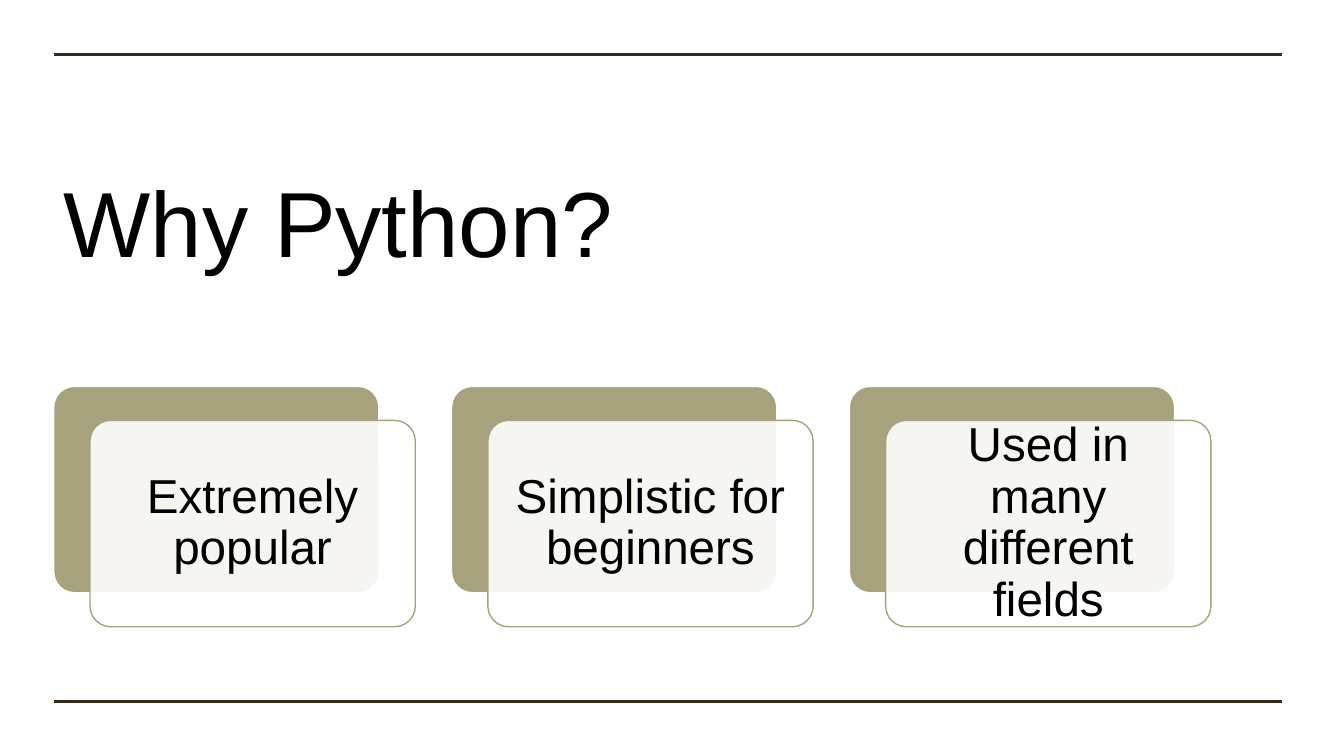
import pptx
import pptx.dml.color
import pptx.enum.shapes
import pptx.enum.text
import pptx.oxml.ns
import pptx.util
from lxml import etree


def color(hex_code):
    return pptx.dml.color.RGBColor.from_string(hex_code)


class SlideBuilder:
    """Draws styled elements, with lengths in percent of the slide's size."""

    FONT = "Arial"
    TEXT = "000000"
    RULE = "332A1D"
    ACCENT = "A6A27E"
    PAPER = "FFFFFF"

    def __init__(self, deck):
        self.deck = deck
        self.slide = deck.slides.add_slide(deck.slide_layouts[5])

    def across(self, percent):
        return round(self.deck.slide_width * percent / 100)

    def down(self, percent):
        return round(self.deck.slide_height * percent / 100)

    def box(self, left, top, width, height):
        return self.across(left), self.down(top), self.across(width), self.down(height)

    def set_wording(self, frame, wording, size, alignment):
        frame.text = wording
        frame.word_wrap = True
        frame.auto_size = pptx.enum.text.MSO_AUTO_SIZE.NONE
        frame.vertical_anchor = pptx.enum.text.MSO_ANCHOR.MIDDLE
        paragraph = frame.paragraphs[0]
        paragraph.alignment = alignment
        paragraph.line_spacing = 0.9
        paragraph.font.name = self.FONT
        paragraph.font.size = pptx.util.Pt(size)
        paragraph.font.color.rgb = color(self.TEXT)

    def title(self, wording, *place):
        heading = self.slide.shapes.title
        heading.left, heading.top, heading.width, heading.height = self.box(*place)
        self.set_wording(heading.text_frame, wording, 66, pptx.enum.text.PP_ALIGN.LEFT)

    def rule(self, start, end, height):
        rule = self.slide.shapes.add_connector(
            pptx.enum.shapes.MSO_CONNECTOR.STRAIGHT,
            self.across(start), self.down(height), self.across(end), self.down(height))
        rule.line.color.rgb = color(self.RULE)
        rule.line.width = pptx.util.Pt(2.25)
        etree.SubElement(rule._element.spPr, pptx.oxml.ns.qn("a:effectLst"))

    def panel(self, place, fill, outline):
        panel = self.slide.shapes.add_shape(
            pptx.enum.shapes.MSO_SHAPE.ROUNDED_RECTANGLE, *self.box(*place))
        panel.adjustments[0] = 0.1
        panel.shadow.inherit = False
        panel.fill.solid()
        panel.fill.fore_color.rgb = color(fill)
        panel.line.color.rgb = color(outline)
        panel.line.width = pptx.util.Pt(1)
        return panel

    def card(self, reason, left, top, width, height):
        self.panel((left, top, width, height), self.ACCENT, self.PAPER)
        front = self.panel((left + 2.7, top + 4.5, width, height), self.PAPER, self.ACCENT)
        tint = front._element.spPr.find(".//" + pptx.oxml.ns.qn("a:srgbClr"))
        etree.SubElement(tint, pptx.oxml.ns.qn("a:alpha"), val="90000")
        frame = front.text_frame
        frame.margin_left = frame.margin_right = pptx.util.Inches(0.14)
        frame.margin_top = frame.margin_bottom = pptx.util.Inches(0.14)
        self.set_wording(frame, reason, 34, pptx.enum.text.PP_ALIGN.CENTER)


def main():
    deck = pptx.Presentation()
    deck.slide_width = pptx.util.Inches(13.33)
    deck.slide_height = pptx.util.Inches(7.5)
    builder = SlideBuilder(deck)
    margin = 4
    for height in (7.2, 92.8):
        builder.rule(margin, 95.4, height)
    builder.title("Why Python?", margin, 14.3, 87.2, 31.5)
    reasons = ("Extremely popular", "Simplistic for beginners",
               "Used in many different fields")
    for column, reason in enumerate(reasons):
        builder.card(reason, margin + column * 29.6, 51.1, 24.2, 27.3)
    deck.save("out.pptx")


if __name__ == "__main__":
    main()
